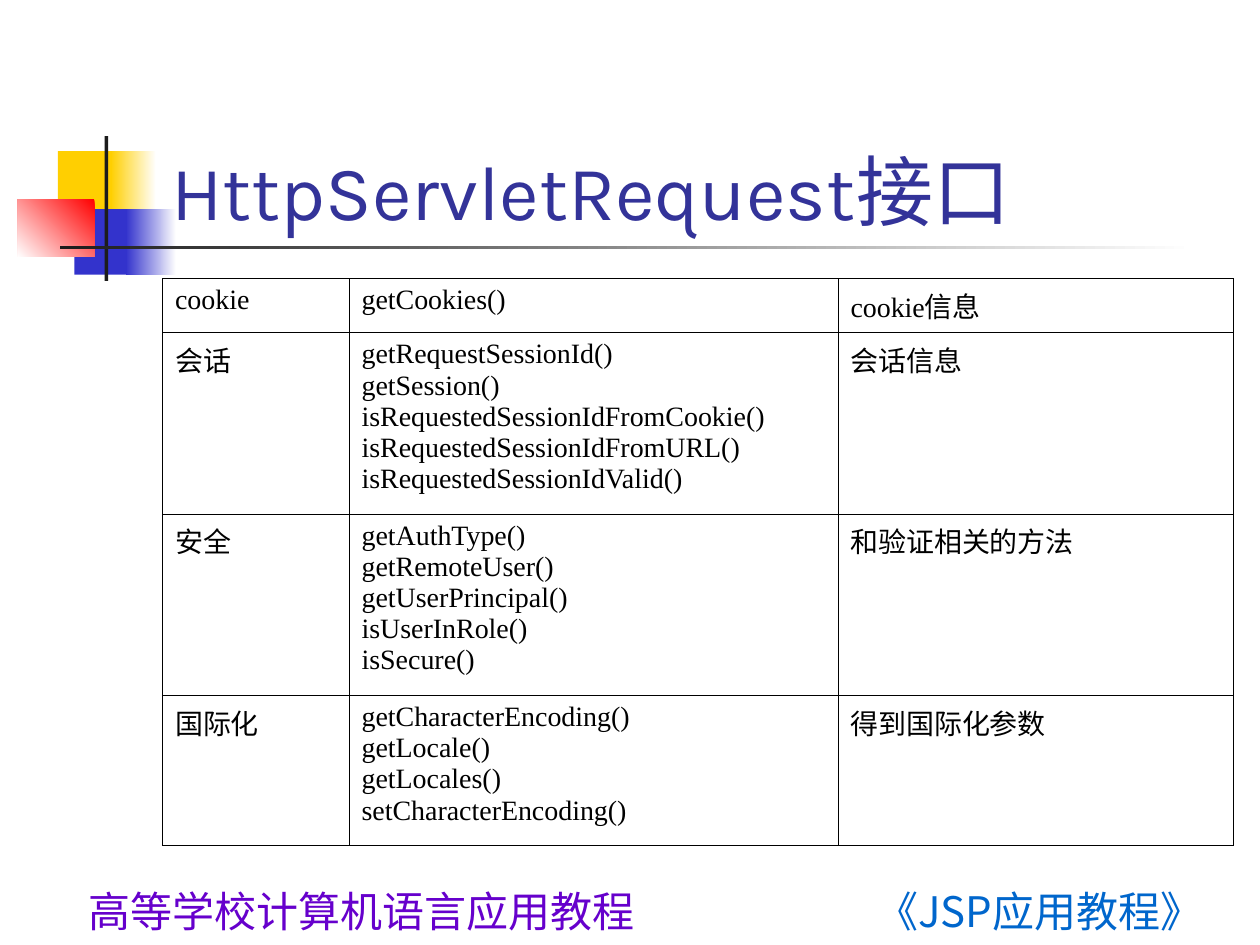
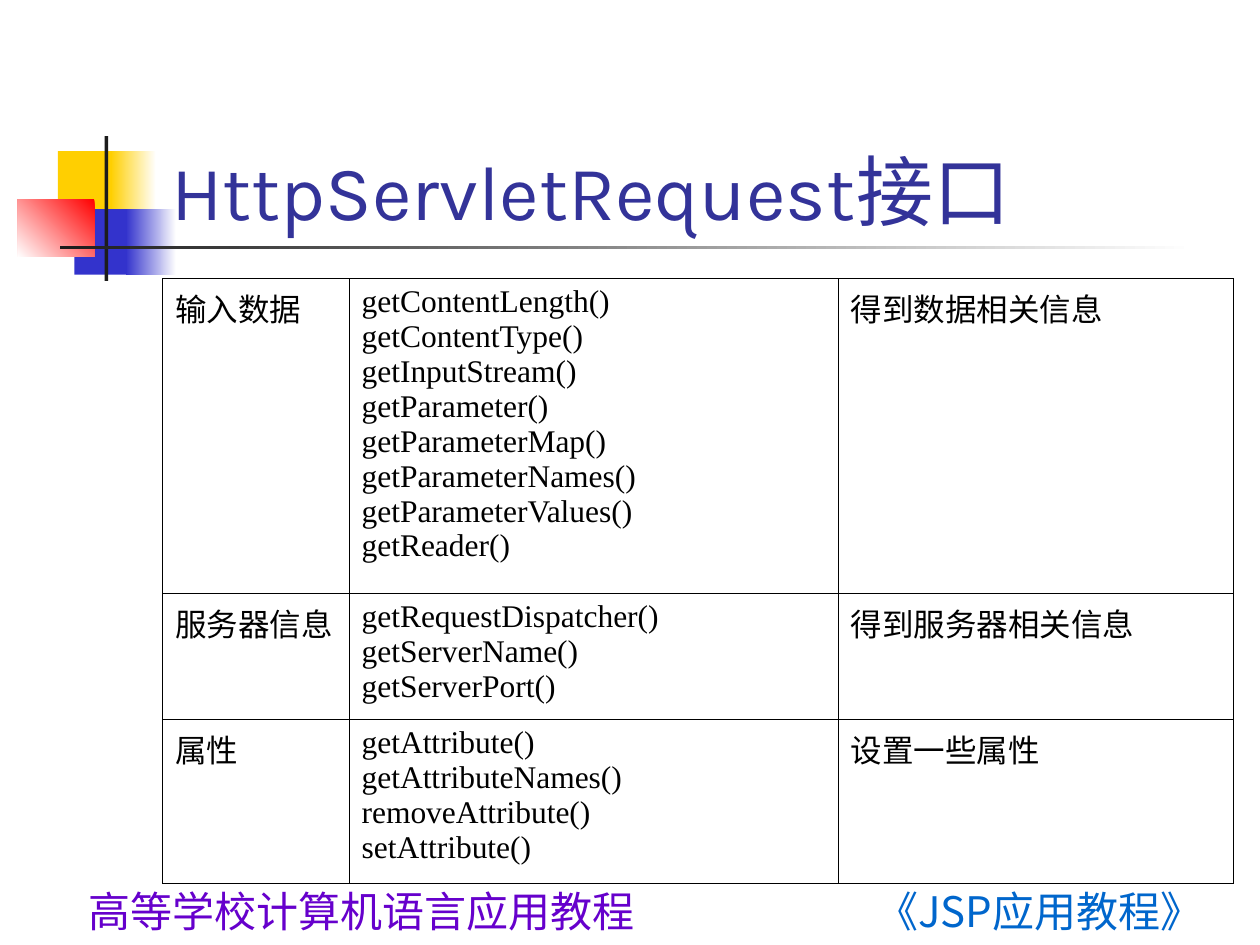
from dataclasses import dataclass

from lxml.etree import SubElement
from pptx import Presentation
from pptx.dml.color import RGBColor as RGB
from pptx.enum.shapes import MSO_SHAPE as SHAPE
from pptx.enum.text import MSO_ANCHOR as ANCHOR, MSO_AUTO_SIZE as AUTOSIZE, PP_ALIGN as ALIGN
from pptx.oxml.ns import qn
from pptx.util import Inches, Pt


@dataclass(frozen=True)
class Theme:
    yellow: str = "FFCF01"
    blue: str = "3333CC"
    red: str = "FF0000"
    dark: str = "1C1C1C"
    white: str = "FFFFFF"
    black: str = "000000"
    title: str = "333399"
    series: str = "6600CC"
    book: str = "0066CC"
    title_font: str = "Karla"
    body_font: str = "Times New Roman"
    cjk_font: str = "Noto Sans CJK SC"
    title_size: int = 44
    footer_size: int = 24
    border: float = 0.45


T = Theme()
TITLE = "HttpServletRequest接口"
TITLE_BOX = (1.26, 0.67, 8.52, 1.25)
MOTIF_BOX = (0.14, 1.08, 9.34, 1.15)
TABLE_BOX = (1.29, 2.21)
COL_WIDTHS = (1.48, 3.88, 3.14)
HANGING = Inches(0.38)

# Each footer: text, colour, box
FOOTERS = [
    ("《JSP应用教程》", T.book, (6.5, 6.98, 3.5, 0.28)),
    ("高等学校计算机语言应用教程", T.series, (0.35, 6.98, 5.04, 0.52)),
]

# Each table: text size, row heights, rows of (category, methods, meaning)
TABLES = [
    (16, (0.43, 1.44, 1.44, 1.19), [
        ("cookie", ["getCookies()"], "cookie信息"),
        ("会话", ["getRequestSessionId()", "getSession()",
                "isRequestedSessionIdFromCookie()",
                "isRequestedSessionIdFromURL()",
                "isRequestedSessionIdValid()"], "会话信息"),
        ("安全", ["getAuthType()", "getRemoteUser()", "getUserPrincipal()",
                "isUserInRole()", "isSecure()"], "和验证相关的方法"),
        ("国际化", ["getCharacterEncoding()", "getLocale()", "getLocales()",
                 "setCharacterEncoding()"], "得到国际化参数"),
    ]),
    (18, (2.5, 1, 1.3), [
        ("输入数据", ["getContentLength()", "getContentType()", "getInputStream()",
                  "getParameter()", "getParameterMap()", "getParameterNames()",
                  "getParameterValues()", "getReader()"], "得到数据相关信息"),
        ("服务器信息", ["getRequestDispatcher()", "getServerName()",
                   "getServerPort()"], "得到服务器相关信息"),
        ("属性", ["getAttribute()", "getAttributeNames()", "removeAttribute()",
                "setAttribute()"], "设置一些属性"),
    ]),
]


def add_run(p, text, font, size, color):
    r = p.add_run()
    r.text = text
    for name, value in {"name": font, "size": Pt(size), "bold": False}.items():
        setattr(r.font, name, value)
    r.font.color.rgb = RGB.from_string(color)
    SubElement(r.font._element, qn("a:ea"), typeface=T.cjk_font)


def add_block(shapes, box, colors, angle=180):
    """Add a borderless rectangle, solid for one colour and gradient for two."""
    sp = shapes.add_shape(SHAPE.RECTANGLE, *map(Inches, box))
    sp.shadow.inherit = False
    sp.line.fill.background()
    if len(colors) == 1:
        sp.fill.solid()
        sp.fill.fore_color.rgb = RGB.from_string(colors[0])
    else:
        sp.fill.gradient()
        sp.fill.gradient_angle = angle
        for stop, color in zip(sp.fill.gradient_stops, colors):
            stop.color.rgb = RGB.from_string(color)
    return sp


def add_motif(shapes, box):
    """Add the overlapping squares and the crossing rules beside the title."""
    x, y, w, h = box
    return [
        add_block(shapes, (x + 0.32, y + 0.12, 0.48, 0.52), [T.yellow]),
        add_block(shapes, (x + 0.74, y + 0.12, 0.36, 0.52), [T.white, T.yellow]),
        add_block(shapes, (x + 0.45, y + 0.58, 0.46, 0.52), [T.blue]),
        add_block(shapes, (x + 0.86, y + 0.58, 0.4, 0.52), [T.white, T.blue]),
        add_block(shapes, (x, y + 0.5, 0.61, 0.46), [T.red, T.white], 225),
        add_block(shapes, (x + 0.69, y, 0.03, h), [T.dark]),
        add_block(shapes, (x + 0.34, y + 0.87, w - 0.34, 0.03), [T.white, T.dark]),
    ]


def add_footer(shapes, text, color, box):
    sp = shapes.add_textbox(*map(Inches, box))
    sp.text_frame.word_wrap = False
    p = sp.text_frame.paragraphs[0]
    p.alignment = ALIGN.CENTER
    add_run(p, text, T.cjk_font, T.footer_size, color)
    return sp


def place(sp, box):
    for name, value in zip(("left", "top", "width", "height"), box):
        setattr(sp, name, Inches(value))


def build_layout(prs):
    """Put the motif, footers and title position on the shared layout."""
    layout = prs.slide_layouts.get_by_name("Title Only")
    place(layout.placeholders[0], TITLE_BOX)
    draft = prs.slides.add_slide(layout)
    shared = add_motif(draft.shapes, MOTIF_BOX)
    shared += [add_footer(draft.shapes, *footer) for footer in FOOTERS]
    for sp in shared:
        layout.shapes._spTree.append(sp._element)
    return layout, draft


def set_title(slide):
    tf = slide.shapes.title.text_frame
    for name, value in {"vertical_anchor": ANCHOR.BOTTOM, "word_wrap": True,
                        "auto_size": AUTOSIZE.NONE}.items():
        setattr(tf, name, value)
    p = tf.paragraphs[0]
    p.alignment = ALIGN.LEFT
    add_run(p, TITLE, T.title_font, T.title_size, T.title)


def set_borders(cell):
    tcPr = cell._tc.get_or_add_tcPr()
    for i, side in enumerate(("lnL", "lnR", "lnT", "lnB")):
        ln = tcPr.makeelement(qn(f"a:{side}"), {"w": str(Pt(T.border))})
        tcPr.insert(i, ln)
        SubElement(SubElement(ln, qn("a:solidFill")), qn("a:srgbClr"), val=T.black)


def fill_cell(cell, lines, size):
    cell.fill.background()
    set_borders(cell)
    tf = cell.text_frame
    for i, line in enumerate(lines):
        p = tf.add_paragraph() if i else tf.paragraphs[0]
        pPr = p._p.get_or_add_pPr()
        pPr.set("marL", str(HANGING))
        pPr.set("indent", str(-HANGING))
        add_run(p, line, T.body_font, size, T.black)


def add_method_table(slide, origin, size, heights, rows):
    box = (*origin, sum(COL_WIDTHS), sum(heights))
    table = slide.shapes.add_table(len(rows), len(COL_WIDTHS), *map(Inches, box)).table
    table.first_row = table.horz_banding = False
    for col, width in zip(table.columns, COL_WIDTHS):
        col.width = Inches(width)
    for row, height, (category, methods, meaning) in zip(table.rows, heights, rows):
        row.height = Inches(height)
        for cell, lines in zip(row.cells, ([category], methods, [meaning])):
            fill_cell(cell, lines, size)


def main():
    prs = Presentation()
    prs.slide_width, prs.slide_height = Inches(10), Inches(7.5)
    layout, first = build_layout(prs)
    slides = [first] + [prs.slides.add_slide(layout) for _ in TABLES[1:]]
    for slide, (size, heights, rows) in zip(slides, TABLES):
        set_title(slide)
        add_method_table(slide, TABLE_BOX, size, heights, rows)
    prs.save("out.pptx")


if __name__ == "__main__":
    main()
